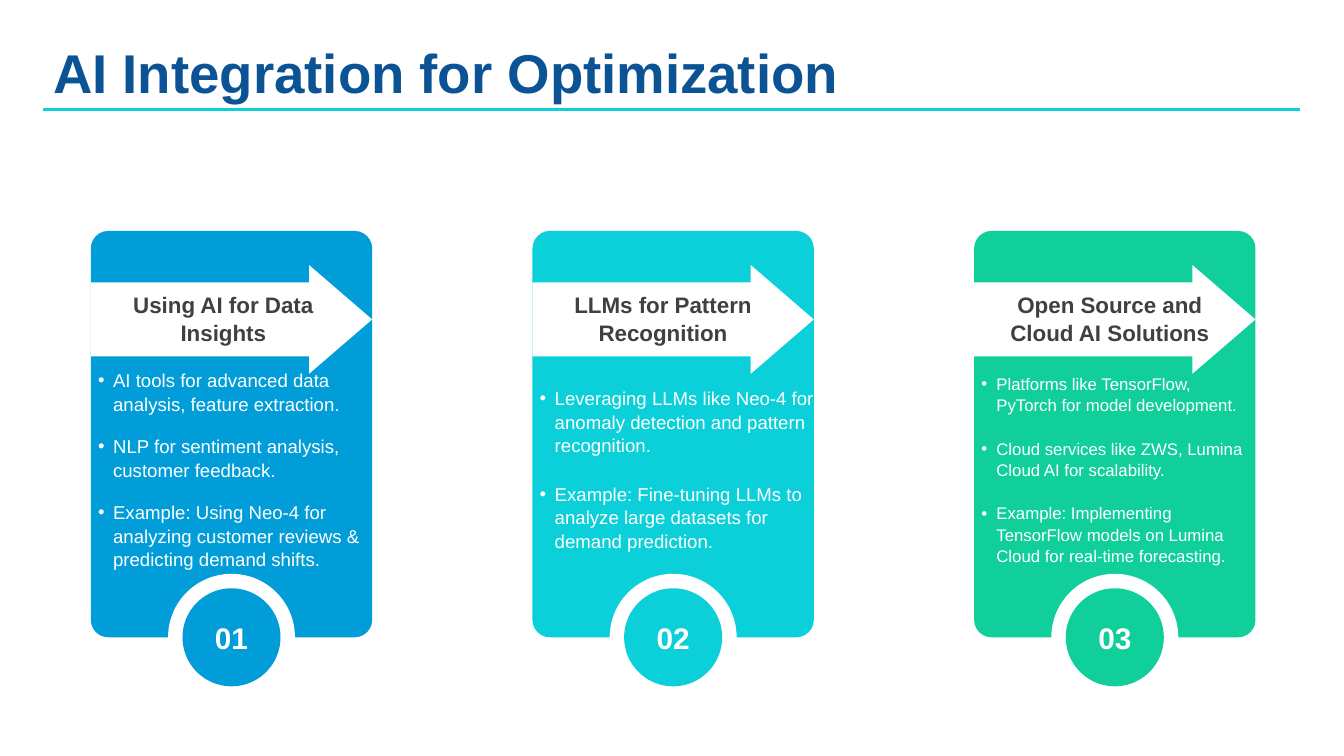
import pptx
import pptx.dml.color
import pptx.enum.shapes
import pptx.enum.text
import pptx.oxml.ns
import pptx.util
from lxml import etree

Cm = pptx.util.Cm
Pt = pptx.util.Pt
SHAPE = pptx.enum.shapes.MSO_SHAPE
ALIGN = pptx.enum.text.PP_ALIGN
ANCHOR = pptx.enum.text.MSO_ANCHOR
qn = pptx.oxml.ns.qn

CARDS = [
    dict(color="009DD9", title="Using AI for Data Insights", title_dx=0.43,
         body=2, size=13.3, gap=13.6, items=[
             "AI tools for advanced data analysis, feature extraction.",
             "NLP for sentiment analysis, customer feedback.",
             "Example: Using Neo-4 for analyzing customer reviews & predicting demand shifts."]),
    dict(color="0BD0D9", title="LLMs for Pattern Recognition", title_dx=0.38,
         body=4, size=13.3, gap=18.2, items=[
             "Leveraging LLMs like Neo-4 for anomaly detection and pattern recognition.",
             "Example: Fine-tuning LLMs to analyze large datasets for demand prediction."]),
    dict(color="10CF9B", title="Open Source and Cloud AI Solutions", title_dx=0.51,
         body=1, size=12, gap=16.1, items=[
             "Platforms like TensorFlow, PyTorch for model development.",
             "Cloud services like ZWS, Lumina Cloud AI for scalability.",
             "Example: Implementing TensorFlow models on Lumina Cloud for real-time forecasting."]),
]

CARD_LEFT, CARD_TOP, CARD_W, CARD_H, CARD_PITCH = 2.29, 5.82, 7.09, 10.24, 11.13
RING_D, DOT_D = 3.2, 2.47


def rgb(value):
    return pptx.dml.color.RGBColor.from_string(value)


class Deck:
    font = "Arial"
    white = "FFFFFF"
    line_spacing = 1.05

    def __init__(self):
        self.prs = pptx.Presentation()
        self.prs.slide_width = Cm(33.87)
        self.prs.slide_height = Cm(19.05)

    def add_slide(self, layout):
        layouts = self.prs.slide_layouts
        self.s = self.prs.slides.add_slide(layouts.get_by_name(layout))

    def place(self, sp, x, y, w, h):
        sp.left, sp.top, sp.width, sp.height = Cm(x), Cm(y), Cm(w), Cm(h)

    def frame(self, sp, anchor=ANCHOR.MIDDLE, inset=0):
        tf = sp.text_frame
        tf.word_wrap = True
        tf.auto_size = pptx.enum.text.MSO_AUTO_SIZE.NONE
        tf.vertical_anchor = anchor
        tf.margin_left = tf.margin_right = Cm(inset)
        tf.margin_top = tf.margin_bottom = Cm(inset / 2)
        return tf

    def set_text(self, p, text, size, color, bold=False, align=ALIGN.CENTER):
        p.text = text
        p.alignment = align
        p.space_before = Pt(0)
        for r in p.runs:
            r.font.name = self.font
            r.font.size = Pt(size)
            r.font.bold = bold
            r.font.color.rgb = rgb(color)

    def title(self, text, x, y, w, h):
        sp = self.s.shapes.title
        self.place(sp, x, y, w, h)
        tf = self.frame(sp, inset=0.25)
        self.set_text(tf.paragraphs[0], text, 39, "0B5394", True, ALIGN.LEFT)

    def rule(self, x1, x2, y, color):
        line = self.s.shapes.add_connector(
            pptx.enum.shapes.MSO_CONNECTOR.STRAIGHT, Cm(x1), Cm(y), Cm(x2), Cm(y))
        line.line.color.rgb = rgb(color)
        line.line.width = Pt(2.25)
        etree.SubElement(line.element.spPr, qn("a:effectLst"))

    def shape(self, kind, x, y, w, h, color, adjustments=()):
        sp = self.s.shapes.add_shape(kind, Cm(x), Cm(y), Cm(w), Cm(h))
        sp.shadow.inherit = False
        sp.fill.solid()
        sp.fill.fore_color.rgb = rgb(color)
        sp.line.fill.background()
        for i, value in enumerate(adjustments):
            sp.adjustments[i] = value
        return sp

    def circle(self, cx, cy, d, color):
        return self.shape(SHAPE.OVAL, cx - d / 2, cy - d / 2, d, d, color)

    def label(self, text, x, y, w, h):
        sp = self.s.shapes.add_textbox(Cm(x), Cm(y), Cm(w), Cm(h))
        p = self.frame(sp).paragraphs[0]
        self.set_text(p, text, 16, "404040", True)
        p.line_spacing = self.line_spacing

    def bullets(self, idx, items, size, gap, x, y, w, h):
        sp = next(ph for ph in self.s.placeholders
                  if ph.placeholder_format.idx == idx)
        sp.element.getparent().append(sp.element)
        self.place(sp, x, y, w, h)
        tf = self.frame(sp)
        for i, item in enumerate(items):
            p = tf.paragraphs[0] if i == 0 else tf.add_paragraph()
            self.set_text(p, item, size, self.white, align=ALIGN.LEFT)
            p.line_spacing = self.line_spacing
            p.space_before = Pt(gap if i else 0)
            pPr = p._p.get_or_add_pPr()
            pPr.set("marL", str(Cm(0.38)))
            pPr.set("indent", str(Cm(-0.38)))
            etree.SubElement(pPr, qn("a:buFont"), typeface=self.font)
            etree.SubElement(pPr, qn("a:buChar"), char="•")

    def card(self, i, card):
        x = CARD_LEFT + i * CARD_PITCH
        cx, cy = x + CARD_W / 2, CARD_TOP + CARD_H
        self.shape(SHAPE.ROUNDED_RECTANGLE, x, CARD_TOP, CARD_W, CARD_H,
                   card["color"], [0.062])
        self.shape(SHAPE.RIGHT_ARROW, x, 6.68, CARD_W, 2.74, self.white,
                   [0.682, 0.58])
        self.circle(cx, cy, RING_D, self.white)
        dot = self.circle(cx, cy, DOT_D, card["color"])
        self.set_text(self.frame(dot).paragraphs[0], f"{i + 1:02d}", 21.3,
                      self.white, True)
        self.bullets(card["body"], card["items"], card["size"], card["gap"],
                     x + 0.18, 9.27, 6.91, 5.1)
        self.label(card["title"], x + card["title_dx"], 7.32, 5.82, 1.37)

    def remove_empty(self):
        for ph in list(self.s.placeholders):
            if not ph.text_frame.text:
                ph.element.getparent().remove(ph.element)

    def save(self):
        self.prs.save("out.pptx")


def main():
    deck = Deck()
    deck.add_slide("Comparison")
    deck.title("AI Integration for Optimization", 1.09, 0.84, 27.79, 1.93)
    deck.rule(1.09, 32.77, 2.76, "0BD0D9")
    for i, card in enumerate(CARDS):
        deck.card(i, card)
    deck.remove_empty()
    deck.save()


if __name__ == "__main__":
    main()
